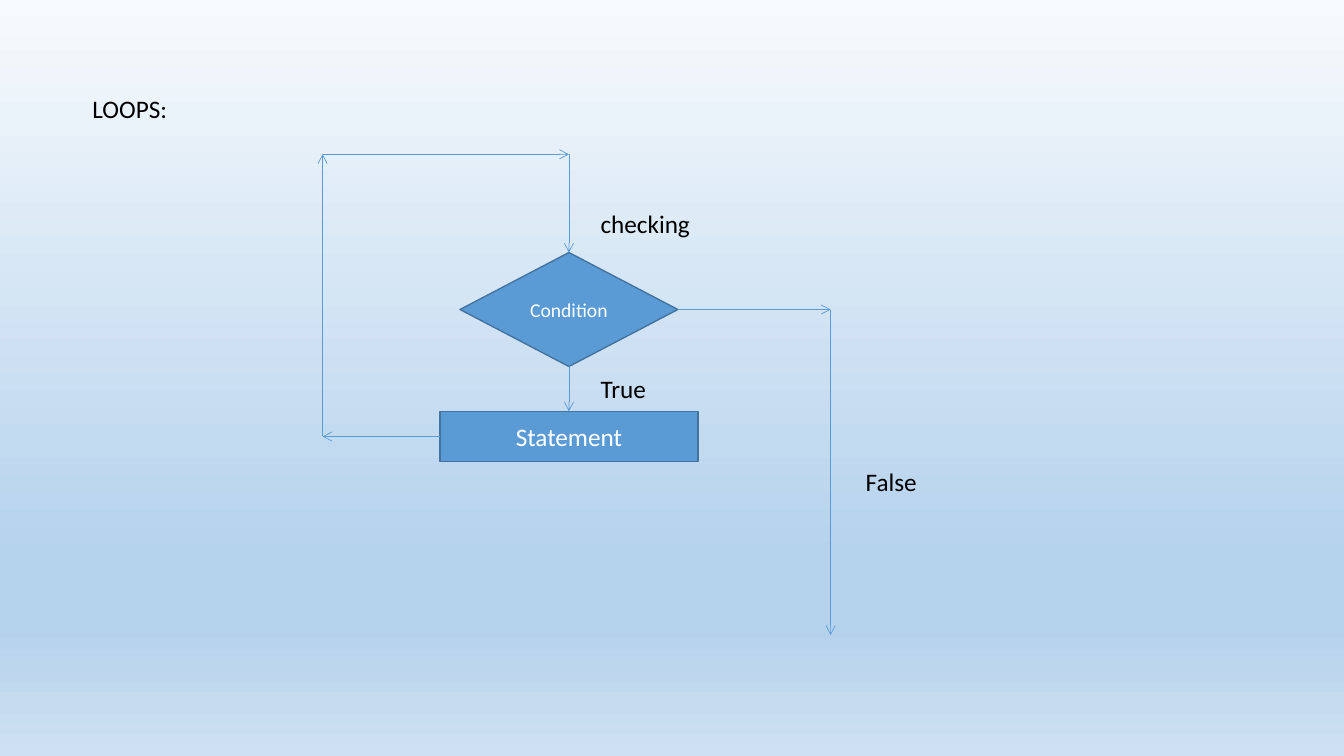
"""Build a slide with the flowchart of a loop."""
from copy import deepcopy

from pptx import Presentation
from pptx.dml.color import RGBColor
from pptx.enum.shapes import MSO_CONNECTOR, MSO_SHAPE
from pptx.enum.text import MSO_ANCHOR, PP_ALIGN
from pptx.oxml.ns import qn
from pptx.util import Pt
from lxml.etree import SubElement

BLACK = RGBColor(0x00, 0x00, 0x00)
WHITE = RGBColor(0xFF, 0xFF, 0xFF)
BLUE = RGBColor(0x5B, 0x9B, 0xD5)
DARK_BLUE = RGBColor(0x43, 0x73, 0x9E)
SKY = RGBColor(0xB5, 0xD2, 0xEC)
BACKGROUND = [
    (0, RGBColor(0xF7, 0xFA, 0xFD)),
    (0.74, SKY),
    (0.83, SKY),
    (1, RGBColor(0xCE, 0xE1, 0xF2)),
]
FONT = "Calibri"
TOP, LEFT, BOTTOM, RIGHT = range(4)


def set_text(sp, text, size=18, color=BLACK, align=PP_ALIGN.LEFT, anchor=MSO_ANCHOR.TOP):
    tf = sp.text_frame
    tf.word_wrap = True
    tf.vertical_anchor = anchor
    p = tf.paragraphs[0]
    p.alignment = align
    r = p.add_run()
    r.text = text
    r.font.name = FONT
    r.font.size = Pt(size)
    r.font.color.rgb = color


def add_label(slide, text, x, y, w, h=29):
    sp = slide.shapes.add_textbox(Pt(x), Pt(y), Pt(w), Pt(h))
    set_text(sp, text)


def add_node(slide, shape, text, x, y, w, h, size=18):
    sp = slide.shapes.add_shape(shape, Pt(x), Pt(y), Pt(w), Pt(h))
    sp.shadow.inherit = False
    sp.fill.solid()
    sp.fill.fore_color.rgb = BLUE
    sp.line.color.rgb = DARK_BLUE
    sp.line.width = Pt(1)
    set_text(sp, text, size=size, color=WHITE, align=PP_ALIGN.CENTER, anchor=MSO_ANCHOR.MIDDLE)
    return sp


def add_arrow(slide, start, end, begin=None, finish=None):
    cxn = slide.shapes.add_connector(MSO_CONNECTOR.STRAIGHT, *map(Pt, start + end))
    if begin:
        cxn.begin_connect(*begin)
    if finish:
        cxn.end_connect(*finish)
    cxn.line.color.rgb = BLUE
    cxn.line.width = Pt(0.5)
    SubElement(cxn.line._get_or_add_ln(), qn("a:tailEnd"), type="arrow")
    SubElement(cxn._element.spPr, qn("a:effectLst"))


def set_background(slide):
    fill = slide.background.fill
    fill.gradient()
    fill.gradient_angle = 270
    stops = slide.element.find(".//" + qn("a:gsLst"))
    for _ in BACKGROUND[2:]:
        stops.append(deepcopy(stops[0]))
    for stop, (position, color) in zip(fill.gradient_stops, BACKGROUND):
        stop.position = position
        stop.color.rgb = color


def add_flowchart(slide, x, y, w, h):
    right, bottom = x + w, y + h
    mid = x + 176
    cond_w, cond_h, cond_y = 155.6, 81.4, y + 70.2
    stmt_w, stmt_h, stmt_y = 184.4, 36, y + 183.6
    cond_mid, stmt_mid = cond_y + cond_h / 2, stmt_y + stmt_h / 2

    statement = add_node(slide, MSO_SHAPE.RECTANGLE, "Statement",
                         mid - stmt_w / 2, stmt_y, stmt_w, stmt_h)
    condition = add_node(slide, MSO_SHAPE.DIAMOND, "Condition",
                         mid - cond_w / 2, cond_y, cond_w, cond_h, size=14)

    add_arrow(slide, (mid, y), (mid, cond_y), finish=(condition, TOP))
    add_arrow(slide, (mid, cond_y + cond_h), (mid, stmt_y),
              begin=(condition, BOTTOM), finish=(statement, TOP))
    add_arrow(slide, (mid + cond_w / 2, cond_mid), (right, cond_mid), begin=(condition, RIGHT))
    add_arrow(slide, (right, cond_mid), (right, bottom))
    add_arrow(slide, (mid - stmt_w / 2, stmt_mid), (x, stmt_mid), begin=(statement, LEFT))
    add_arrow(slide, (x, stmt_mid), (x, y))
    add_arrow(slide, (x, y), (mid, y))

    add_label(slide, "checking", mid + 15.5, y + 35.2, 122.4)
    add_label(slide, "True", mid + 15.5, y + 153, 80)
    add_label(slide, "False", right + 18, y + 219.6, 117.4)


def main():
    prs = Presentation()
    prs.slide_width, prs.slide_height = Pt(960), Pt(540)
    slide = prs.slides.add_slide(prs.slide_layouts[6])
    set_background(slide)
    add_label(slide, "LOOPS:", 59, 62.8, 631.4, 94.3)
    add_flowchart(slide, 230.4, 110.2, 362.9, 343.4)
    prs.save("out.pptx")


if __name__ == "__main__":
    main()
